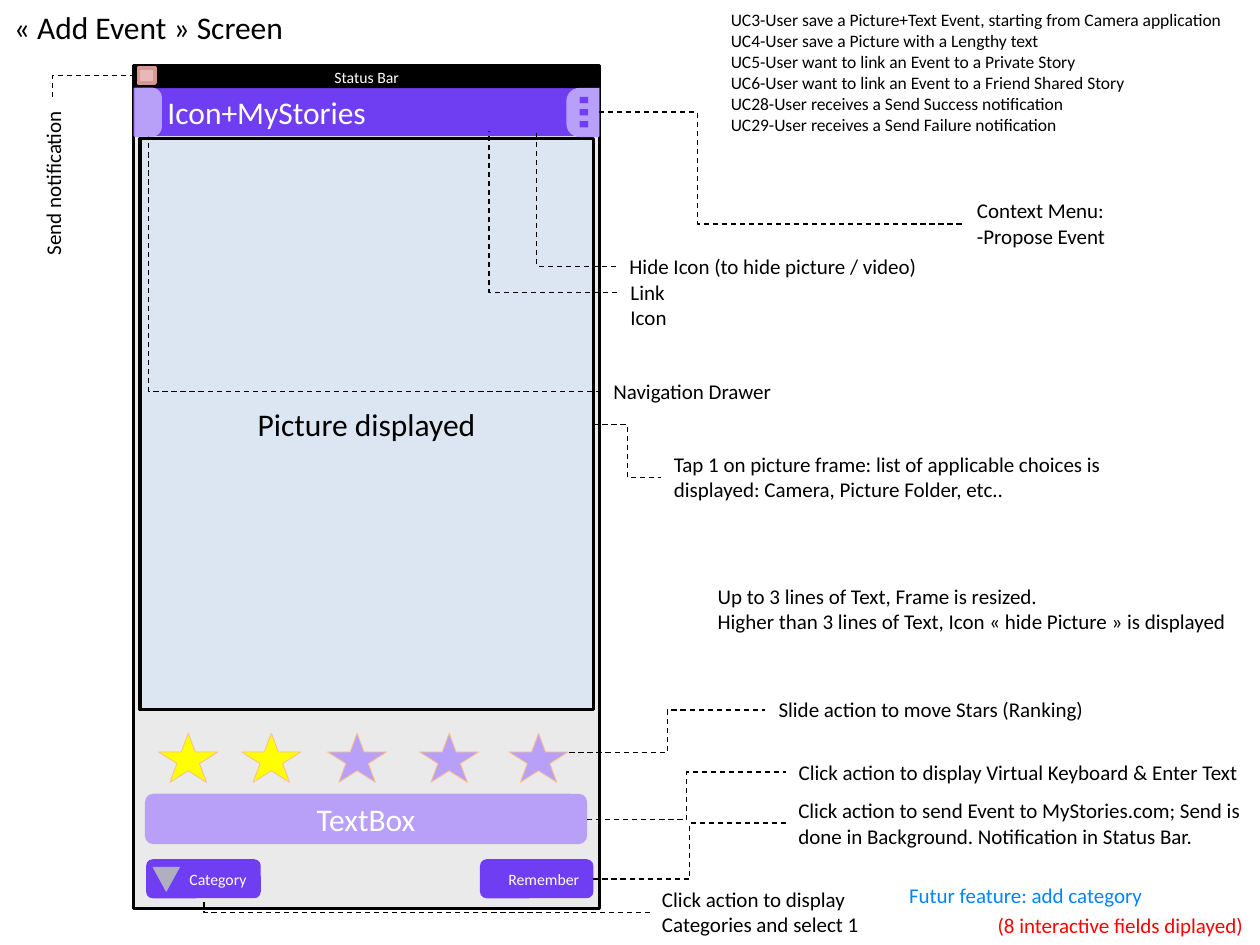
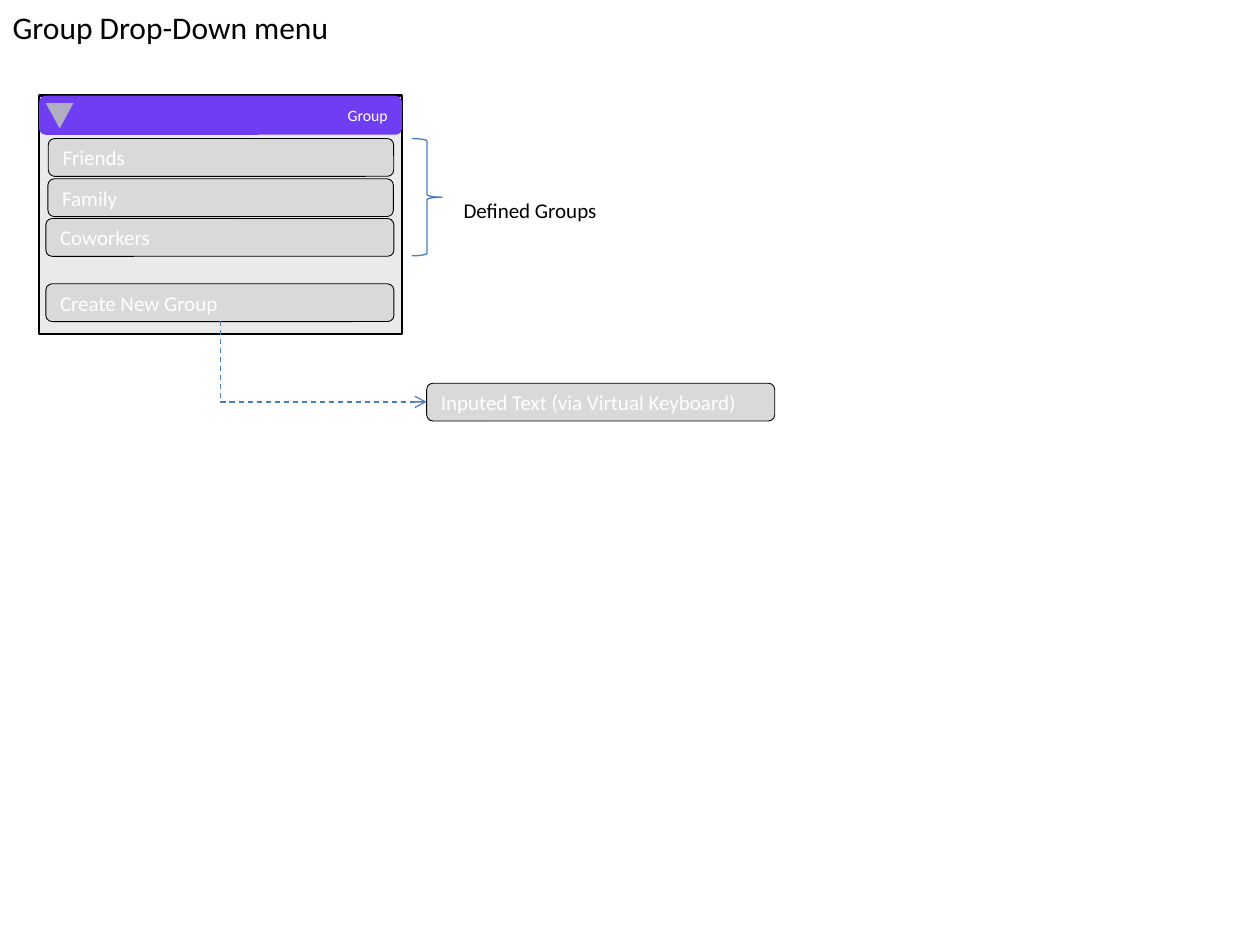
from lxml.etree import SubElement
from pptx import Presentation
from pptx.dml.color import RGBColor
from pptx.enum.dml import MSO_LINE
from pptx.enum.shapes import MSO_CONNECTOR, MSO_SHAPE
from pptx.enum.text import MSO_ANCHOR, MSO_AUTO_SIZE, PP_ALIGN
from pptx.oxml.ns import qn
from pptx.util import Pt

BLACK = RGBColor(0x00, 0x00, 0x00)
WHITE = RGBColor(0xFF, 0xFF, 0xFF)
PURPLE = RGBColor(0x6F, 0x3E, 0xF3)
LILAC = RGBColor(0xB8, 0xA0, 0xF9)
PANEL = RGBColor(0xEA, 0xEA, 0xEA)
FIELD = RGBColor(0xD9, 0xD9, 0xD9)
ARROW_GREY = RGBColor(0xB0, 0xAF, 0xC1)
PICTURE_BLUE = RGBColor(0xDC, 0xE6, 0xF2)
YELLOW = RGBColor(0xFF, 0xFF, 0x00)
PEACH = RGBColor(0xFA, 0xC0, 0x90)
PINK = RGBColor(0xE6, 0xB9, 0xB8)
ROSE = RGBColor(0xD9, 0x96, 0x94)
BLUE = RGBColor(0x4A, 0x7E, 0xBB)
FEATURE_BLUE = RGBColor(0x00, 0x84, 0xFF)
RED = RGBColor(0xFF, 0x00, 0x00)

FONT = "Calibri"
BUTTON_ROUNDING = 0.167
CORNER = 1

EVENT_TITLE = ("« Add Event » Screen", 0.7, 169.2)
GROUP_TITLE = ("Group Drop-Down menu", 0, 195.1)

USE_CASES = [
    "UC3-User save a Picture+Text Event, starting from Camera application",
    "UC4-User save a Picture with a Lengthy text",
    "UC5-User want to link an Event to a Private Story",
    "UC6-User want to link an Event to a Friend Shared Story",
    "UC28-User receives a Send Success notification",
    "UC29-User receives a Send Failure notification",
]

EVENT_LABELS = [
    (["Slide action to move Stars (Ranking)"], (437.8, 394.6, 189.4, 21.6), {}),
    (["Click action to display Virtual Keyboard & Enter Text"], (449.3, 430.3, 267.1, 21.6), {}),
    (["Click action to send Event to MyStories.com; Send is done in Background. "
      "Notification in Status Bar."], (449.1, 452.4, 270.7, 36), {"wrap": True}),
    (["Click action to display Categories and select 1"],
     (371.2, 503.1, 131, 36), {"wrap": True}),
    (["(8 interactive fields diplayed)"], (563, 517.7, 155.5, 21.6), {"color": RED}),
    (["Tap 1 on picture frame: list of applicable choices is displayed: Camera, "
      "Picture Folder, etc.."], (378, 254.2, 261.4, 36), {"wrap": True}),
    (["Navigation Drawer"], (343.4, 212.6, 105.1, 21.6), {}),
    (["Context Menu:", "-Propose Event"], (551.2, 109.6, 87.8, 36), {}),
    (["Up to 3 lines of Text, Frame is resized.",
      "Higher than 3 lines of Text, Icon « hide Picture » is displayed"],
     (403, 329.8, 306.7, 36), {}),
    (["Link Icon"], (353.2, 156, 56.9, 21.6), {}),
    (["Hide Icon (to hide picture / video)"], (352.6, 141.1, 178.6, 21.6), {}),
    (["Futur feature: add category"], (512.4, 500.6, 148.3, 21.6), {"color": FEATURE_BLUE}),
    (["Send notification"], (-18.4, 93.6, 97.2, 21.6), {"rotation": 270}),
]

EVENT_LEADERS = [
    ((371.5, 521.3), (116.6, 513.4), CORNER),
    ((335.5, 468.4), (449.3, 441.2), 0.5),
    ((339.1, 502.4), (449.3, 470.3), 0.5),
    ((325.4, 430), (437.2, 405.8), 0.5),
    ((339.1, 242.6), (378, 272.9), 0.5),
    ((343.4, 223.7), (85, 77.8), CORNER),
    ((342.2, 64.1), (550.8, 128), 0.27),
    ((92.9, 43.2), (30.2, 55.4), CORNER),
    ((352.8, 167), (279.4, 74.9), CORNER),
    ((352.1, 152.2), (306.7, 76.3), CORNER),
]

STARS = [(90.7, YELLOW), (138.2, YELLOW), (187.2, LILAC), (239.8, LILAC), (290.9, LILAC)]

GROUP_FIELDS = [
    ("Friends", 27.6, 79.2, 197.4),
    ("Family", 27.4, 102.2, 197.4),
    ("Coworkers", 26.2, 124.9, 198.9),
    ("Create New Group", 26.2, 162.2, 198.9),
    ("Inputed Text (via Virtual Keyboard)", 243.8, 219, 198.9),
]


def write(shape, lines, size=12, color=BLACK, align=PP_ALIGN.LEFT,
          anchor=MSO_ANCHOR.TOP, wrap=False, inset=7.2, fit=MSO_AUTO_SIZE.NONE):
    """Fill a shape with one formatted paragraph per line."""
    frame = shape.text_frame
    frame.word_wrap = wrap
    frame.auto_size = fit
    frame.vertical_anchor = anchor
    frame.margin_left = Pt(inset)
    frame.margin_right = Pt(7.2)
    frame.margin_top = frame.margin_bottom = Pt(3.6)
    for number, line in enumerate(lines):
        para = frame.add_paragraph() if number else frame.paragraphs[0]
        para.alignment = align
        para.space_before = Pt(0)
        span = para.add_run()
        span.text = line
        span.font.name = FONT
        span.font.size = Pt(size)
        span.font.color.rgb = color


def place(shape, left, top, width, height):
    """Move and size a placeholder."""
    shape.left, shape.top = Pt(left), Pt(top)
    shape.width, shape.height = Pt(width), Pt(height)


def add_title(page, text, left, width):
    """Set the slide title at the top left."""
    title = page.shapes.title
    place(title, left, 0.7, width, 28.8)
    write(title, [text], size=18)


def add_use_cases(page):
    """List the use cases in the body placeholder without bullets."""
    body = page.placeholders[1]
    place(body, 410.4, 1.4, 296.6, 79.2)
    write(body, USE_CASES, size=10)
    for para in body.text_frame.paragraphs:
        properties = para._p.get_or_add_pPr()
        properties.set("marL", "0")
        properties.set("indent", "0")
        SubElement(properties, qn("a:buNone"))


def add_figure(page, kind, box, fill=None, line=None, weight=0.5, rounding=None, rotation=0):
    """Draw a preset shape with its fill and outline."""
    figure = page.shapes.add_shape(kind, *map(Pt, box))
    figure.shadow.inherit = False
    figure.rotation = rotation
    if rounding is not None:
        figure.adjustments[0] = rounding
    if fill is None:
        figure.fill.background()
    else:
        figure.fill.solid()
        figure.fill.fore_color.rgb = fill
    if line is None:
        figure.line.fill.background()
    else:
        figure.line.color.rgb = line
        figure.line.width = Pt(weight)
    return figure


def add_button(page, text, box, fill=PURPLE, line=None, size=9, align=PP_ALIGN.RIGHT):
    """Draw a rounded button with white text."""
    button = add_figure(page, MSO_SHAPE.ROUNDED_RECTANGLE, box, fill, line,
                        rounding=BUTTON_ROUNDING)
    write(button, [text], size=size, color=WHITE, align=align,
          anchor=MSO_ANCHOR.MIDDLE, wrap=True)


def add_drop_arrow(page, left, top):
    """Draw the downward triangle of a drop-down button."""
    add_figure(page, MSO_SHAPE.FLOWCHART_MERGE, (left, top, 15.8, 14.4), ARROW_GREY)


def add_label(page, lines, box, rotation=0, **style):
    """Add a free-standing annotation."""
    label = page.shapes.add_textbox(*map(Pt, box))
    label.rotation = rotation
    write(label, lines, fit=MSO_AUTO_SIZE.SHAPE_TO_FIT_TEXT, **style)


def add_leader(page, start, end, bend, color=BLACK, arrow=False):
    """Draw a dashed elbow line that turns at the given share of its width."""
    leader = page.shapes.add_connector(MSO_CONNECTOR.ELBOW, *map(Pt, start + end))
    leader.line.color.rgb = color
    leader.line.width = Pt(0.75)
    leader.line.dash_style = MSO_LINE.DASH
    if arrow:
        SubElement(leader.line._get_or_add_ln(), qn("a:headEnd"), type="arrow")
    properties = leader._element.spPr
    SubElement(properties, qn("a:effectLst"))
    geometry = properties.find(qn("a:prstGeom"))
    if bend == CORNER:
        geometry.set("prst", "bentConnector2")
    else:
        guides = geometry.find(qn("a:avLst"))
        SubElement(guides, qn("a:gd"), name="adj1", fmla=f"val {round(bend * 100000)}")


def add_phone(page):
    """Draw the phone screen with its bars, picture, stars and buttons."""
    rectangle = MSO_SHAPE.RECTANGLE
    add_figure(page, rectangle, (76.3, 37.4, 266.4, 481.7), PANEL, BLACK, 1.5)
    app_bar = add_figure(page, rectangle, (76.3, 49.7, 266.4, 28.1), PURPLE)
    write(app_bar, ["Icon+MyStories"], size=18, color=WHITE,
          anchor=MSO_ANCHOR.MIDDLE, inset=19.4, wrap=True)
    status_bar = add_figure(page, rectangle, (76.3, 37.4, 266.4, 13), BLACK)
    write(status_bar, ["Status Bar"], size=9, color=WHITE, align=PP_ALIGN.CENTER,
          anchor=MSO_ANCHOR.MIDDLE, wrap=True)
    picture = add_figure(page, rectangle, (79.9, 79.2, 259.2, 326.2), PICTURE_BLUE, BLACK, 2)
    write(picture, ["Picture displayed"], size=18, align=PP_ALIGN.CENTER,
          anchor=MSO_ANCHOR.MIDDLE, wrap=True)
    for left, fill in STARS:
        add_figure(page, MSO_SHAPE.STAR_5_POINT, (left, 419, 33.8, 28.1), fill, PEACH)
    add_button(page, "TextBox", (82.8, 453.6, 252.7, 28.8), LILAC, size=18,
               align=PP_ALIGN.CENTER)
    add_button(page, "Category", (83.5, 491, 65.5, 22.3))
    add_button(page, "Remember", (274.3, 491, 64.8, 22.3))
    add_drop_arrow(page, 87.1, 495.4)


def add_phone_icons(page):
    """Draw the notification square, drawer tab and context menu tab."""
    tab = MSO_SHAPE.ROUND_2_SAME_RECTANGLE
    add_figure(page, MSO_SHAPE.RECTANGLE, (79.2, 38.9, 9.4, 8.6), PINK, ROSE, 2)
    add_figure(page, tab, (70.6, 56.2, 28.1, 15.8), LILAC, rounding=0.37, rotation=90)
    add_figure(page, tab, (319, 54.9, 28.1, 18.7), LILAC, rounding=0.4, rotation=270)
    for row in range(3):
        add_figure(page, MSO_SHAPE.RECTANGLE, (331.2, 55.4 + 6.9 * row, 5, 3.6), PURPLE)


def build_event_slide(deck):
    """Build the annotated event screen."""
    page = deck.slides.add_slide(deck.slide_layouts[1])
    add_title(page, *EVENT_TITLE)
    add_use_cases(page)
    add_phone(page)
    for start, end, bend in EVENT_LEADERS:
        add_leader(page, start, end, bend)
    add_phone_icons(page)
    for lines, box, style in EVENT_LABELS:
        add_label(page, lines, box, **style)


def build_group_slide(deck):
    """Build the group drop-down menu."""
    page = deck.slides.add_slide(deck.slide_layouts[5])
    add_title(page, *GROUP_TITLE)
    add_figure(page, MSO_SHAPE.RECTANGLE, (22.3, 54.7, 207.4, 136.1), PANEL, BLACK, 1.5)
    add_button(page, "Group", (22.3, 54.7, 207.4, 22.3))
    add_drop_arrow(page, 26.2, 59)
    for text, left, top, width in GROUP_FIELDS:
        add_button(page, text, (left, top, width, 21.6), FIELD, BLACK, 12, PP_ALIGN.LEFT)
    add_figure(page, MSO_SHAPE.RIGHT_BRACE, (235.4, 79.2, 17.3, 67), line=BLUE, weight=0.75)
    add_label(page, ["Defined Groups"], (257.8, 109.6, 126, 21.6), wrap=True)
    add_leader(page, (243.8, 229.7), (126, 183.6), CORNER, BLUE, arrow=True)


def main():
    """Build and save the deck."""
    deck = Presentation()
    deck.slide_width, deck.slide_height = Pt(720), Pt(540)
    build_event_slide(deck)
    build_group_slide(deck)
    deck.save("out.pptx")


if __name__ == "__main__":
    main()
